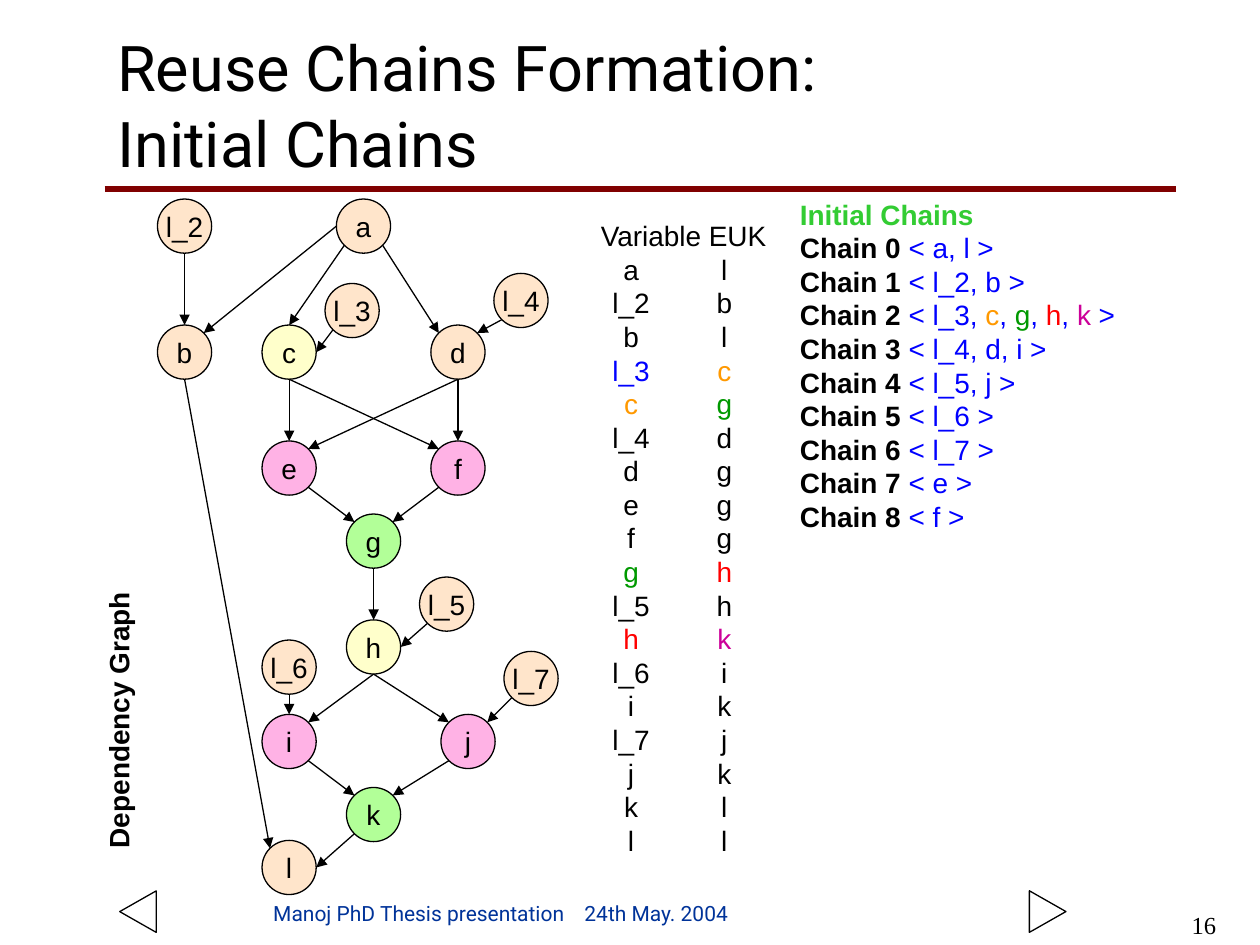
from math import cos, radians, sin

from lxml.etree import SubElement
from pptx import Presentation
from pptx.dml.color import RGBColor
from pptx.enum.shapes import MSO_CONNECTOR as Connector, MSO_SHAPE as Shape
from pptx.enum.text import MSO_ANCHOR as Anchor, MSO_AUTO_SIZE as AutoSize, PP_ALIGN as Align
from pptx.oxml.ns import qn
from pptx.util import Inches, Pt

BLACK = RGBColor(0x00, 0x00, 0x00)
MAROON = RGBColor(0x80, 0x00, 0x00)
NAVY = RGBColor(0x00, 0x33, 0x99)
BLUE = RGBColor(0x00, 0x00, 0xFF)
ORANGE = RGBColor(0xFF, 0x99, 0x00)
GREEN = RGBColor(0x00, 0x99, 0x00)
RED = RGBColor(0xFF, 0x00, 0x00)
MAGENTA = RGBColor(0xCC, 0x00, 0x99)
HEADING_GREEN = RGBColor(0x33, 0xCC, 0x33)
PEACH = RGBColor(0xFF, 0xCC, 0x99)
YELLOW = RGBColor(0xFF, 0xFF, 0x99)
PINK = RGBColor(0xFF, 0x66, 0xCC)
LIME = RGBColor(0x66, 0xFF, 0x33)

NODE_SIZE = 0.43
NODES = {
    "l_2": (0, 0, PEACH), "a": (1.42, 0, PEACH),
    "l_3": (1.33, 0.67, PEACH), "l_4": (2.67, 0.59, PEACH),
    "b": (0, 1, PEACH), "c": (0.83, 1, YELLOW), "d": (2.17, 1, PEACH),
    "e": (0.83, 1.92, PINK), "f": (2.17, 1.92, PINK),
    "g": (1.5, 2.5, LIME), "l_5": (2.08, 3, PEACH), "h": (1.5, 3.34, YELLOW),
    "l_6": (0.83, 3.5, PEACH), "l_7": (2.75, 3.59, PEACH),
    "i": (0.83, 4.09, PINK), "j": (2.25, 4.09, PINK),
    "k": (1.5, 4.67, LIME), "l": (0.83, 5.09, PEACH),
}
ANGLES = {"E": 0, "SE": 45, "S": 90, "SW": 135, "W": 180, "NW": 225, "N": 270, "NE": 315}
EDGES = [
    ("l_2", "S", "b", "N"), ("a", "SW", "c", "N"), ("l_3", "SW", "c", "E"),
    ("a", "SE", "d", "NW"), ("a", "W", "b", "NE"), ("l_4", "SW", "d", "NE"),
    ("c", "S", "e", "N"), ("c", "S", "f", "NW"), ("d", "S", "f", "N"),
    ("d", "S", "e", "NE"), ("e", "SE", "g", "NW"), ("f", "SW", "g", "NE"),
    ("g", "S", "h", "N"), ("l_5", "SW", "h", "E"), ("l_6", "S", "i", "N"),
    ("l_7", "SW", "j", "NE"), ("h", "S", "i", "NE"), ("h", "S", "j", "NW"),
    ("i", "SE", "k", "NW"), ("j", "SW", "k", "NE"), ("k", "SW", "l", "E"),
    ("b", "S", "l", "NW"),
]
EUK_ROWS = [
    ("a", "l"), ("l_2", "b"), ("b", "l"), ("l_3", "c"), ("c", "g"), ("l_4", "d"),
    ("d", "g"), ("e", "g"), ("f", "g"), ("g", "h"), ("l_5", "h"), ("h", "k"),
    ("l_6", "i"), ("i", "k"), ("l_7", "j"), ("j", "k"), ("k", "l"), ("l", "l"),
]
CHAINS = [
    ["a", "l"], ["l_2", "b"], ["l_3", "c", "g", "h", "k"], ["l_4", "d", "i"],
    ["l_5", "j"], ["l_6"], ["l_7"], ["e"], ["f"],
]
CHAIN_COLORS = {"l_3": BLUE, "c": ORANGE, "g": GREEN, "h": RED, "k": MAGENTA}
COLORED_LINKS = list(zip(CHAINS[2], CHAINS[2][1:]))


def add_run(paragraph, text, color=BLACK, size=16, name="Arial", bold=False):
    run = paragraph.add_run()
    run.text = text
    font = run.font
    font.name, font.size, font.bold = name, Pt(size), bold
    font.color.rgb = color


def add_tabs(paragraph, *stops):
    tab_list = SubElement(paragraph._p.get_or_add_pPr(), qn("a:tabLst"))
    for position, alignment in stops:
        SubElement(tab_list, qn("a:tab"), pos=str(Inches(position)), algn=alignment)


def add_text_frame(slide, left, top, width, height, anchor=Anchor.BOTTOM, wrap=True):
    box = slide.shapes.add_textbox(Inches(left), Inches(top), Inches(width), Inches(height))
    box.text_frame.word_wrap = wrap
    box.text_frame.vertical_anchor = anchor
    return box.text_frame


def next_line(frame, first=False):
    paragraph = frame.paragraphs[0] if first else frame.add_paragraph()
    paragraph.line_spacing = Pt(19.2)
    return paragraph


def add_line(slide, start, end, color=BLACK, width=0.75, arrow=False):
    points = [Inches(value) for value in (*start, *end)]
    connector = slide.shapes.add_connector(Connector.STRAIGHT, *points)
    connector.line.color.rgb = color
    connector.line.width = Pt(width)
    if arrow:
        SubElement(connector.line._get_or_add_ln(), qn("a:tailEnd"), type="triangle")
    SubElement(connector._element.spPr, qn("a:effectLst"))


def add_outlined_shape(slide, kind, left, top, width, height):
    shape = slide.shapes.add_shape(kind, Inches(left), Inches(top), Inches(width), Inches(height))
    shape.shadow.inherit = False
    shape.fill.background()
    shape.line.color.rgb = BLACK
    shape.line.width = Pt(0.75)
    return shape


def add_title(slide, left, top, width, height):
    title = slide.shapes.title
    title.left, title.top = Inches(left), Inches(top)
    title.width, title.height = Inches(width), Inches(height)
    frame = title.text_frame
    frame.auto_size = AutoSize.NONE
    frame.vertical_anchor = Anchor.MIDDLE
    paragraph = frame.paragraphs[0]
    paragraph.alignment = Align.LEFT
    add_run(paragraph, "Reuse Chains Formation: ", size=36, name="Roboto")
    paragraph.add_line_break()
    add_run(paragraph, "Initial Chains", size=36, name="Roboto")
    rule_top = top + height + 0.17
    add_line(slide, (left, rule_top), (left + 8.5, rule_top), MAROON, 3)


def add_node(slide, label, left, top, color):
    node = add_outlined_shape(slide, Shape.OVAL, left, top, NODE_SIZE, NODE_SIZE)
    node.fill.solid()
    node.fill.fore_color.rgb = color
    color_element = node._element.spPr.find(qn("a:solidFill"))[0]
    SubElement(color_element, qn("a:alpha"), val="50000")
    frame = node.text_frame
    frame.word_wrap = False
    frame.vertical_anchor = Anchor.MIDDLE
    frame.paragraphs[0].alignment = Align.CENTER
    add_run(frame.paragraphs[0], label)


def add_dependency_graph(slide, left, top):
    def rim_point(label, side):
        x, y, _ = NODES[label]
        angle, radius = radians(ANGLES[side]), NODE_SIZE / 2
        return (left + x + radius * (1 + cos(angle)), top + y + radius * (1 + sin(angle)))

    for label, (x, y, color) in NODES.items():
        add_node(slide, label, left + x, top + y, color)
    for source, source_side, target, target_side in EDGES:
        add_line(slide, rim_point(source, source_side), rim_point(target, target_side), arrow=True)

    caption = add_text_frame(slide, left - 1.48, top + 3.9, 2.33, 0.37)
    caption._parent.rotation = 270
    add_run(caption.paragraphs[0], "Dependency Graph", bold=True)


def add_euk_list(slide, left, top, width, height):
    frame = add_text_frame(slide, left, top, width, height, wrap=False)
    add_run(next_line(frame, first=True), "Variable EUK")
    for variable, euk in EUK_ROWS:
        paragraph = next_line(frame)
        add_tabs(paragraph, (0.24, "ctr"), (0.98, "ctr"))
        colors = CHAIN_COLORS if (variable, euk) in COLORED_LINKS else {}
        for label in (variable, euk):
            add_run(paragraph, "\t" + label, colors.get(label, BLACK))


def add_chain_list(slide, left, top, width, height):
    frame = add_text_frame(slide, left, top, width, height)
    add_run(next_line(frame, first=True), "Initial Chains", HEADING_GREEN, bold=True)
    for number, members in enumerate(CHAINS):
        paragraph = next_line(frame)
        add_run(paragraph, f"Chain {number} ", bold=True)
        for index, member in enumerate(members):
            add_run(paragraph, ", " if index else "< ", BLUE)
            add_run(paragraph, member, CHAIN_COLORS.get(member, BLUE))
        add_run(paragraph, " >", BLUE)


def add_footer(slide, left, top):
    for offset, rotation in ((0, 270), (7.22, 90)):
        arrow = add_outlined_shape(
            slide, Shape.ISOSCELES_TRIANGLE, left + offset, top + 0.02, 0.33, 0.29)
        arrow.rotation = rotation
    credit = add_text_frame(slide, left + 1.14, top, 5.58, 0.33).paragraphs[0]
    add_tabs(credit, (2.47, "l"))
    add_run(credit, "Manoj PhD Thesis presentation\t24th May. 2004", NAVY, 12, "Roboto")
    number = add_text_frame(slide, left + 8.15, top + 0.1, 0.67, 0.33, Anchor.TOP).paragraphs[0]
    number.alignment = Align.RIGHT
    add_run(number, "16", size=14, name="Times New Roman")


def main():
    presentation = Presentation()
    presentation.slide_width, presentation.slide_height = Inches(10), Inches(7.5)
    slide = presentation.slides.add_slide(presentation.slide_layouts[5])
    add_title(slide, 0.83, 0.33, 7.5, 1)
    add_dependency_graph(slide, 1.25, 1.58)
    add_euk_list(slide, 4.67, 1.68, 1.53, 5.17)
    add_chain_list(slide, 6.25, 1.51, 2.75, 2.77)
    add_footer(slide, 0.93, 7.07)
    presentation.save("out.pptx")


if __name__ == "__main__":
    main()
